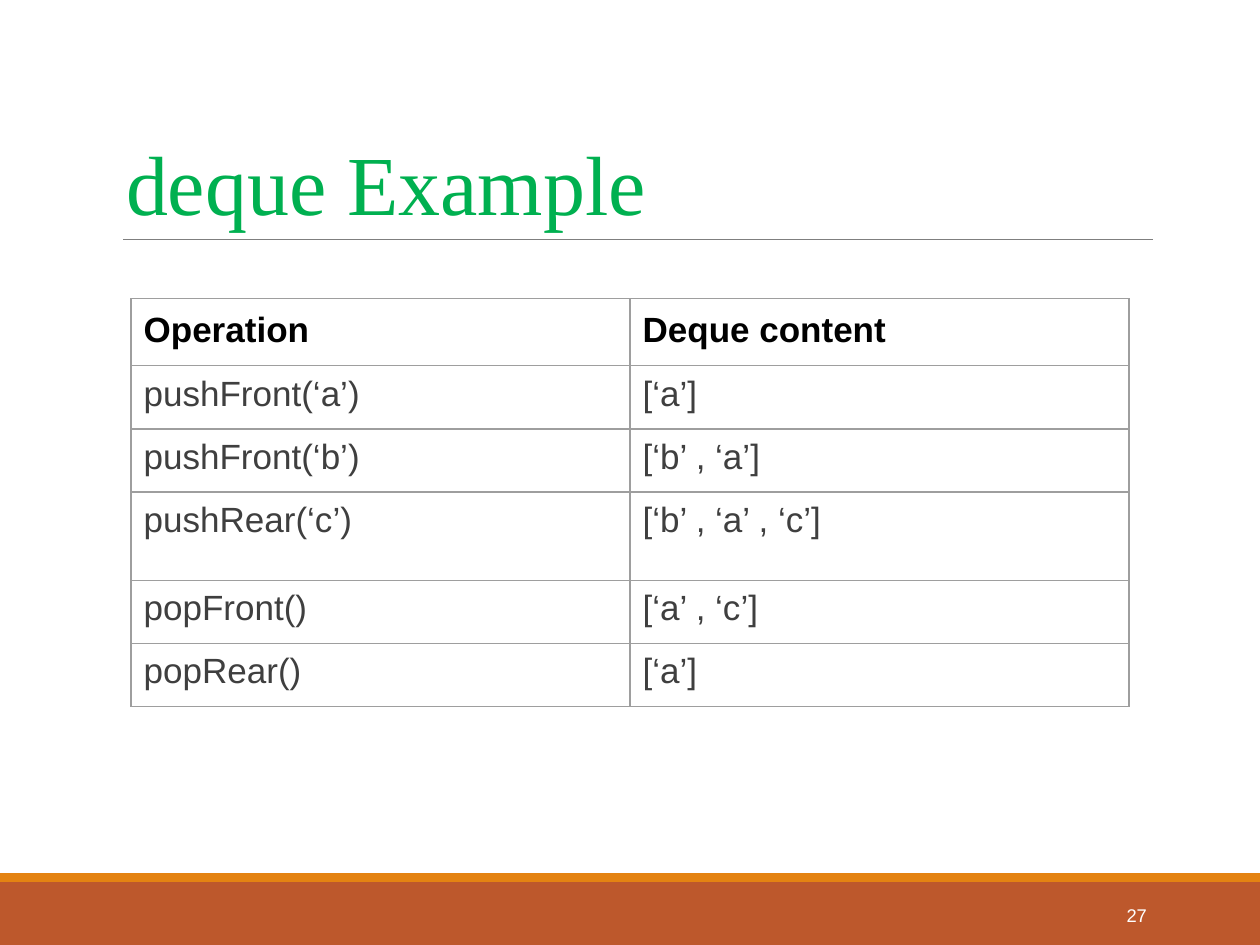
from lxml.etree import SubElement
from pptx import Presentation
from pptx.dml.color import RGBColor
from pptx.enum.shapes import MSO_CONNECTOR, MSO_SHAPE
from pptx.enum.text import MSO_ANCHOR, MSO_AUTO_SIZE, PP_ALIGN
from pptx.oxml.ns import qn
from pptx.util import Inches, Pt

COLORS = {
    "band": "BD582C", "stripe": "E48312", "rule": "7F7F7F", "title": "00B050",
    "number": "FFFFFF", "header": "000000", "body": "3F3F3F", "border": "9E9E9E",
}
OPERATIONS = [
    ("Operation", "Deque content"),
    ("pushFront(‘a’)", "[‘a’]"),
    ("pushFront(‘b’)", "[‘b’ , ‘a’]"),
    ("pushRear(‘c’)", "[‘b’ , ‘a’ , ‘c’]"),
    ("popFront()", "[‘a’ , ‘c’]"),
    ("popRear()", "[‘a’]"),
]
ROW_HEIGHTS = [0.51, 0.48, 0.48, 0.7, 0.48, 0.48]


class SlideBuilder:
    def __init__(self, slide):
        self.slide = slide

    def color(self, name):
        return RGBColor.from_string(COLORS[name])

    def style(self, paragraph, size, color, font="Arial", bold=False):
        paragraph.font.size = Pt(size)
        paragraph.font.name = font
        paragraph.font.bold = bold
        paragraph.font.color.rgb = self.color(color)

    def bar(self, top, height, color):
        bar = self.slide.shapes.add_shape(
            MSO_SHAPE.RECTANGLE, 0, Inches(top), Inches(10), Inches(height))
        bar.shadow.inherit = False
        bar.fill.solid()
        bar.fill.fore_color.rgb = self.color(color)
        bar.line.fill.background()

    def rule(self, left, right, top):
        rule = self.slide.shapes.add_connector(
            MSO_CONNECTOR.STRAIGHT, Inches(left), Inches(top), Inches(right), Inches(top))
        rule.line.color.rgb = self.color("rule")
        rule.line.width = Pt(0.75)
        SubElement(rule._element.spPr, qn("a:effectLst"))

    def title(self, text, left, top, width, height):
        title = self.slide.shapes.title
        title.left, title.top = Inches(left), Inches(top)
        title.width, title.height = Inches(width), Inches(height)
        frame = title.text_frame
        frame.text = text
        frame.auto_size = MSO_AUTO_SIZE.NONE
        frame.vertical_anchor = MSO_ANCHOR.BOTTOM
        heading = frame.paragraphs[0]
        heading.alignment = PP_ALIGN.LEFT
        heading.line_spacing = 0.85
        self.style(heading, 48, "title", "Times New Roman")

    def page_number(self, text, left, top, width, height):
        frame = self.slide.shapes.add_textbox(
            Inches(left), Inches(top), Inches(width), Inches(height)).text_frame
        frame.word_wrap = True
        frame.vertical_anchor = MSO_ANCHOR.MIDDLE
        frame.text = text
        frame.paragraphs[0].alignment = PP_ALIGN.RIGHT
        self.style(frame.paragraphs[0], 10.5, "number")

    def border(self, cell):
        properties = cell._tc.get_or_add_tcPr()
        for side in ("lnL", "lnR", "lnT", "lnB"):
            edge = SubElement(properties, qn(f"a:{side}"), w=str(Pt(0.75)))
            fill = SubElement(edge, qn("a:solidFill"))
            SubElement(fill, qn("a:srgbClr"), val=COLORS["border"])

    def table(self, rows, row_heights, left, top, column_width):
        columns = len(rows[0])
        table = self.slide.shapes.add_table(
            len(rows), columns, Inches(left), Inches(top),
            Inches(column_width * columns), Inches(sum(row_heights))).table
        table.first_row = table.horz_banding = False
        for column in table.columns:
            column.width = Inches(column_width)
        for r, (texts, height) in enumerate(zip(rows, row_heights)):
            table.rows[r].height = Inches(height)
            for c, text in enumerate(texts):
                self.cell(table.cell(r, c), text, is_header=r == 0)

    def cell(self, cell, text, is_header):
        cell.margin_left = cell.margin_right = Inches(0.1)
        cell.margin_top = cell.margin_bottom = Inches(0.1)
        self.border(cell)
        cell.fill.background()
        cell.text = text
        paragraph = cell.text_frame.paragraphs[0]
        paragraph.line_spacing = 1.0 if is_header else 0.9
        self.style(paragraph, 20, "header" if is_header else "body", bold=is_header)


def main():
    deck = Presentation()
    deck.slide_width, deck.slide_height = Inches(10), Inches(7.5)
    builder = SlideBuilder(deck.slides.add_slide(deck.slide_layouts[5]))

    # Footer band and title rule
    builder.bar(7, 0.5, "band")
    builder.bar(6.93, 0.07, "stripe")
    builder.rule(0.98, 9.15, 1.9)

    # Title and page number
    builder.title("deque Example", 0.9, 0.31, 8.25, 1.59)
    builder.page_number("27", 8.12, 7.06, 1.08, 0.4)

    # Deque operations
    builder.table(OPERATIONS, ROW_HEIGHTS, 1.04, 2.37, 3.96)

    deck.save("out.pptx")


if __name__ == "__main__":
    main()
